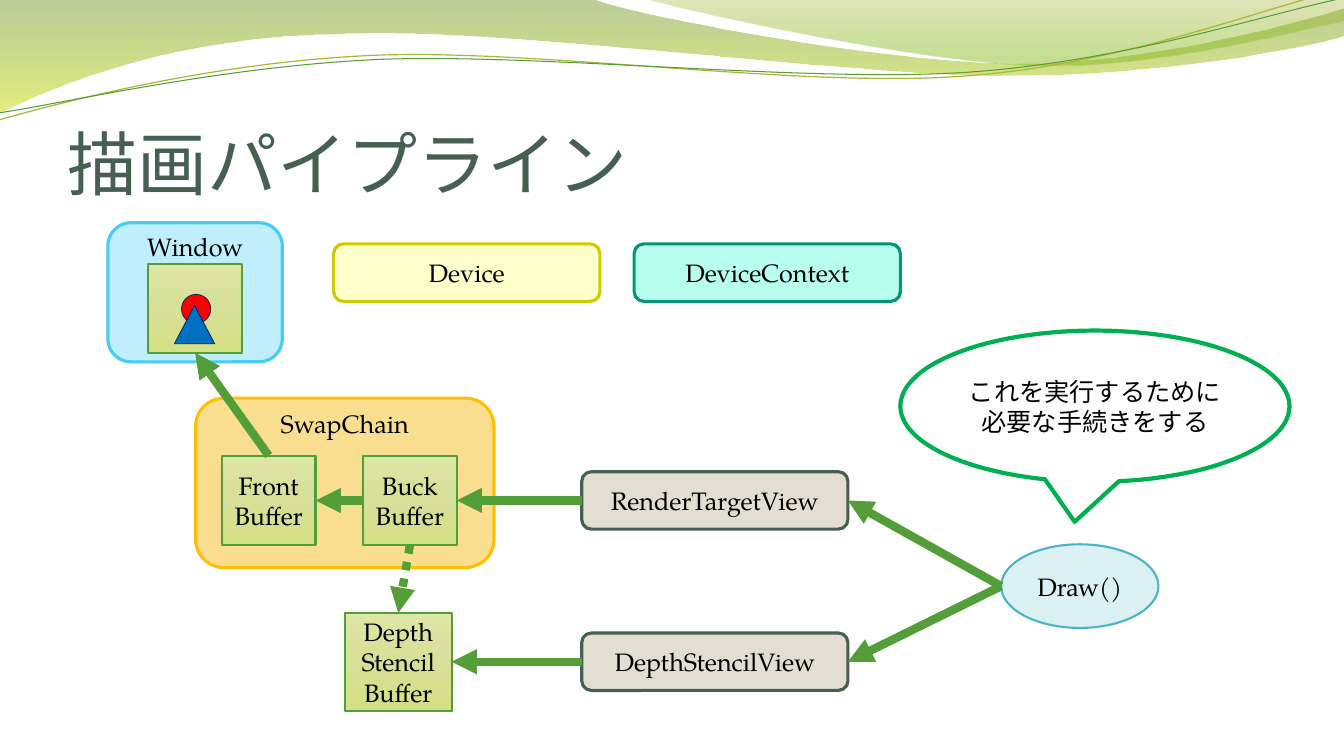
from dataclasses import dataclass
from math import cos, radians, sin
from typing import NamedTuple, Optional

from pptx import Presentation
from pptx.dml.color import RGBColor
from pptx.enum.dml import MSO_LINE
from pptx.enum.shapes import MSO_CONNECTOR, MSO_SHAPE
from pptx.enum.text import MSO_ANCHOR, MSO_AUTO_SIZE, PP_ALIGN
from pptx.oxml.ns import qn
from pptx.oxml.xmlchemy import OxmlElement
from pptx.util import Inches, Pt

RECT, ROUND = MSO_SHAPE.RECTANGLE, MSO_SHAPE.ROUNDED_RECTANGLE
OVAL, TRIANGLE = MSO_SHAPE.OVAL, MSO_SHAPE.ISOSCELES_TRIANGLE
CALLOUT = MSO_SHAPE.OVAL_CALLOUT
STRAIGHT, DOTTED = MSO_CONNECTOR.STRAIGHT, MSO_LINE.ROUND_DOT
TOP, MIDDLE, BOTTOM = MSO_ANCHOR.TOP, MSO_ANCHOR.MIDDLE, MSO_ANCHOR.BOTTOM
CENTER, LEFT = PP_ALIGN.CENTER, PP_ALIGN.LEFT
NO_AUTOFIT = MSO_AUTO_SIZE.NONE
SIDE_TOP, SIDE_LEFT, SIDE_BOTTOM, SIDE_RIGHT = range(4)


class Stop(NamedTuple):
    position: int
    color: str
    opacity: int = 100


class Style(NamedTuple):
    fill: tuple = ()  # no stop: empty, one: solid, more: gradient
    line: Optional[str] = None
    weight: float = 0


@dataclass(frozen=True)
class Theme:
    latin: str = "TeX Gyre Pagella"
    japanese: str = "Noto Sans CJK JP"
    title_size: int = 50
    body_size: int = 18
    title: str = "455F51"
    text: str = "000000"
    arrow: str = "549E39"
    arrow_weight: float = 6
    wave_wide = Style((Stop(0, "69921C", 45), Stop(100, "CCE10F", 55)))
    wave_right = Style((Stop(0, "9BAA1A", 30), Stop(80, "81BA16", 45)))
    thread_olive = Style((), "A9B733", 0.85)
    thread_green = Style((), "549E39", 0.75)
    window = Style((Stop(0, "C1EEFC"),), "46CCF6", 2.25)
    swap_chain = Style((Stop(0, "FADE90"),), "FFC000", 2.25)
    buffer = Style((Stop(0, "DDE6A6"), Stop(50, "D7E098"), Stop(100, "D4E084")), "549E39", 1.5)
    view = Style((Stop(0, "E3DED1"),), "455F51", 2.25)
    draw = Style((Stop(0, "DBF0F3"),), "4AB5C4", 1.5)
    ball = Style((Stop(0, "FF0000"),), "002060", 0.5)
    cone = Style((Stop(0, "0070C0"),), "002060", 0.5)
    device = Style((Stop(0, "FFFFCC"),), "CCCC00", 2.25)
    context = Style((Stop(0, "B8FEEF"),), "029676", 2.25)
    callout = Style((), "00B050", 3)


THEME = Theme()


class Wave(NamedTuple):
    style: Style
    start: tuple
    segments: list  # two numbers: straight, six: cubic curve
    tilt: float = 0
    pivot: tuple = (0, 0)


class Box(NamedTuple):
    name: str
    kind: int
    at: tuple
    style: Style
    text: str = ""
    anchor: int = MIDDLE


class Arrow(NamedTuple):
    source: str
    source_side: int
    target: str
    target_side: int
    dotted: bool = False


WAVES = [
    Wave(THEME.wave_wide, (0, 0), [
        (5.87, -0.01), (6.34, 0.17, 8.84, 0.63, 10.11, 0.63), (11.37, 0.63, 12.77, 0.26, 13.33, 0.09),
        (13.34, 0.36), (13.11, 0.44, 11.59, 0.76, 9.94, 0.75), (8.29, 0.75, 5.09, 0.28, 3.43, 0.34),
        (1.72, 0.36, 0.61, 0.83, -0.02, 1.13), (0, 0)]),
    Wave(THEME.wave_right, (6.38, -0.01), [
        (6.79, 0.11, 9.09, 0.62, 10.25, 0.65), (11.4, 0.69, 12.82, 0.32, 13.33, 0.21),
        (13.33, 0), (6.38, -0.01)]),
    Wave(THEME.thread_olive, (-0.01, 1.19), [
        (0.63, 1.01, 2.1, 0.62, 3.69, 0.55), (5.27, 0.48, 7.89, 0.87, 9.49, 0.76),
        (11.1, 0.66, 12.51, 0.08, 13.3, -0.1)], -2.7, (6.65, 0.57)),
    Wave(THEME.thread_green, (-0.01, 1.12), [
        (0.62, 1.03, 2.18, 0.66, 3.77, 0.59), (5.37, 0.53, 7.96, 0.82, 9.55, 0.72),
        (11.14, 0.62, 12.55, 0.14, 13.33, -0.02)], -2.7, (6.67, 0.59)),
]

PIPELINE = [
    Box("window", ROUND, (1.07, 2.21, 1.73, 1.38), THEME.window, "Window", TOP),
    Box("swap chain", ROUND, (1.94, 3.95, 2.96, 1.68), THEME.swap_chain, "SwapChain", TOP),
    Box("screen", RECT, (1.47, 2.62, 0.93, 0.88), THEME.buffer),
    Box("front", RECT, (2.2, 4.52, 0.93, 0.89), THEME.buffer, "Front\nBuffer"),
    Box("back", RECT, (3.6, 4.52, 0.93, 0.89), THEME.buffer, "Buck\nBuffer"),
    Box("depth", RECT, (3.42, 6.08, 1.06, 0.97), THEME.buffer, "Depth\nStencil\nBuffer"),
    Box("target view", ROUND, (5.77, 4.68, 2.64, 0.57), THEME.view, "RenderTargetView"),
    Box("depth view", ROUND, (5.77, 6.28, 2.64, 0.57), THEME.view, "DepthStencilView"),
    Box("draw", OVAL, (9.93, 5.4, 1.56, 0.83), THEME.draw, "Draw()"),
]

ARROWS = [
    Arrow("draw", SIDE_LEFT, "depth view", SIDE_RIGHT),
    Arrow("draw", SIDE_LEFT, "target view", SIDE_RIGHT),
    Arrow("target view", SIDE_LEFT, "back", SIDE_RIGHT),
    Arrow("depth view", SIDE_LEFT, "depth", SIDE_RIGHT),
    Arrow("back", SIDE_LEFT, "front", SIDE_RIGHT),
    Arrow("front", SIDE_TOP, "screen", SIDE_BOTTOM),
    Arrow("back", SIDE_BOTTOM, "depth", SIDE_TOP, dotted=True),
]

SURROUNDINGS = [
    Box("ball", OVAL, (1.8, 2.92, 0.29, 0.29), THEME.ball),
    Box("cone", TRIANGLE, (1.73, 3.03, 0.4, 0.38), THEME.cone),
    Box("device", ROUND, (3.31, 2.42, 2.64, 0.57), THEME.device, "Device"),
    Box("context", ROUND, (6.29, 2.42, 2.64, 0.57), THEME.context, "DeviceContext"),
    Box("callout", CALLOUT, (8.93, 3.28, 3.86, 1.5), THEME.callout, "これを実行するために\n必要な手続きをする"),
]


def set_all(target, values: dict) -> None:
    for attribute, value in values.items():
        setattr(target, attribute, value)


def add_child(parent, tag: str, **attributes: str):
    child = OxmlElement(tag)
    for key, value in attributes.items():
        child.set(key, value)
    parent.append(child)
    return child


def apply_style(shape, style: Style) -> None:
    shape.shadow.inherit = False
    if not style.fill:
        shape.fill.background()
    elif len(style.fill) == 1:
        shape.fill.solid()
        shape.fill.fore_color.rgb = RGBColor.from_string(style.fill[0].color)
    else:
        shape.fill.gradient()
        shape.fill.gradient_angle = 270
        stops = shape._element.spPr.find(".//" + qn("a:gsLst"))
        for preset in list(stops):
            stops.remove(preset)
        for stop in style.fill:
            entry = add_child(stops, "a:gs", pos=str(stop.position * 1000))
            color = add_child(entry, "a:srgbClr", val=stop.color)
            if stop.opacity < 100:
                add_child(color, "a:alpha", val=str(stop.opacity * 1000))
    if style.line:
        shape.line.color.rgb = RGBColor.from_string(style.line)
        shape.line.width = Pt(style.weight)
    else:
        shape.line.fill.background()


def write_text(frame, text: str, frame_format: dict, paragraph_format: dict,
               latin: str, size: int, color: str) -> None:
    set_all(frame, {"word_wrap": True, **frame_format})
    paragraph = frame.paragraphs[0]
    paragraph.text = text
    set_all(paragraph, paragraph_format)
    for run in paragraph.runs:
        set_all(run.font, {"name": latin, "size": Pt(size)})
        run.font.color.rgb = RGBColor.from_string(color)
        add_child(run.font._element, "a:ea", typeface=THEME.japanese)


def level_point(wave: Wave, x: float, y: float) -> tuple:
    """Undo the tilt, which the shape's own rotation brings back."""
    angle = radians(-wave.tilt)
    dx, dy = x - wave.pivot[0], y - wave.pivot[1]
    return (Inches(wave.pivot[0] + dx * cos(angle) - dy * sin(angle)),
            Inches(wave.pivot[1] + dx * sin(angle) + dy * cos(angle)))


def draw_wave(slide, wave: Wave) -> None:
    runs = [[level_point(wave, *segment[i:i + 2]) for i in range(0, len(segment), 2)]
            for segment in wave.segments]
    builder = slide.shapes.build_freeform(*level_point(wave, *wave.start))
    builder.add_line_segments([points[-1] for points in runs], close=bool(wave.style.fill))
    shape = builder.convert_to_shape()
    # Turn the straight segments that have control points into cubic curves
    outline = shape._element.spPr.find(".//" + qn("a:path"))
    for straight, points in zip(outline.findall(qn("a:lnTo")), runs):
        if len(points) == 3:
            curve = OxmlElement("a:cubicBezTo")
            for x, y in points:
                add_child(curve, "a:pt", x=str(x - shape.left), y=str(y - shape.top))
            outline.replace(straight, curve)
    shape.rotation = wave.tilt
    apply_style(shape, wave.style)


def draw_box(slide, box: Box):
    shape = slide.shapes.add_shape(box.kind, *map(Inches, box.at))
    apply_style(shape, box.style)
    if box.kind == CALLOUT:
        shape.adjustments[0], shape.adjustments[1] = -0.052, 0.765
    if box.text:
        margin = Inches(0.02 if box.anchor == TOP else 0.05)
        write_text(shape.text_frame, box.text, {"vertical_anchor": box.anchor, "margin_top": margin},
                   {"alignment": CENTER}, THEME.latin, THEME.body_size, THEME.text)
    return shape


def draw_arrow(slide, arrow: Arrow, shapes: dict) -> None:
    source, target = shapes[arrow.source], shapes[arrow.target]
    # An oval numbers its sites differently, so Draw() starts at a plain point
    start = (source.left, source.top + source.height // 2)
    connector = slide.shapes.add_connector(STRAIGHT, *start, *start)
    if arrow.source != "draw":
        connector.begin_connect(source, arrow.source_side)
    connector.end_connect(target, arrow.target_side)
    connector.line.color.rgb = RGBColor.from_string(THEME.arrow)
    connector.line.width = Pt(THEME.arrow_weight)
    if arrow.dotted:
        connector.line.dash_style = DOTTED
    properties = connector._element.spPr
    add_child(properties.find(qn("a:ln")), "a:tailEnd", type="triangle")
    add_child(properties, "a:effectLst")


def main() -> None:
    deck = Presentation()
    set_all(deck, {"slide_width": Inches(13.33), "slide_height": Inches(7.5)})
    slide = deck.slides.add_slide(deck.slide_layouts[5])
    # Header waves
    for wave in WAVES:
        draw_wave(slide, wave)
    # Title
    title = slide.shapes.title
    set_all(title, {"left": Inches(0.67), "top": Inches(0.77), "width": Inches(12), "height": Inches(1.25)})
    write_text(title.text_frame, "描画パイプライン",
               {"vertical_anchor": BOTTOM, "auto_size": NO_AUTOFIT, "margin_left": 0,
                "margin_top": Inches(0.05), "margin_right": 0, "margin_bottom": 0},
               {"alignment": LEFT, "line_spacing": 0.8}, THEME.japanese, THEME.title_size, THEME.title)
    # Pipeline, its arrows, and what lies around them
    shapes = {box.name: draw_box(slide, box) for box in PIPELINE}
    for arrow in ARROWS:
        draw_arrow(slide, arrow, shapes)
    for box in SURROUNDINGS:
        draw_box(slide, box)
    deck.save("out.pptx")


if __name__ == "__main__":
    main()
